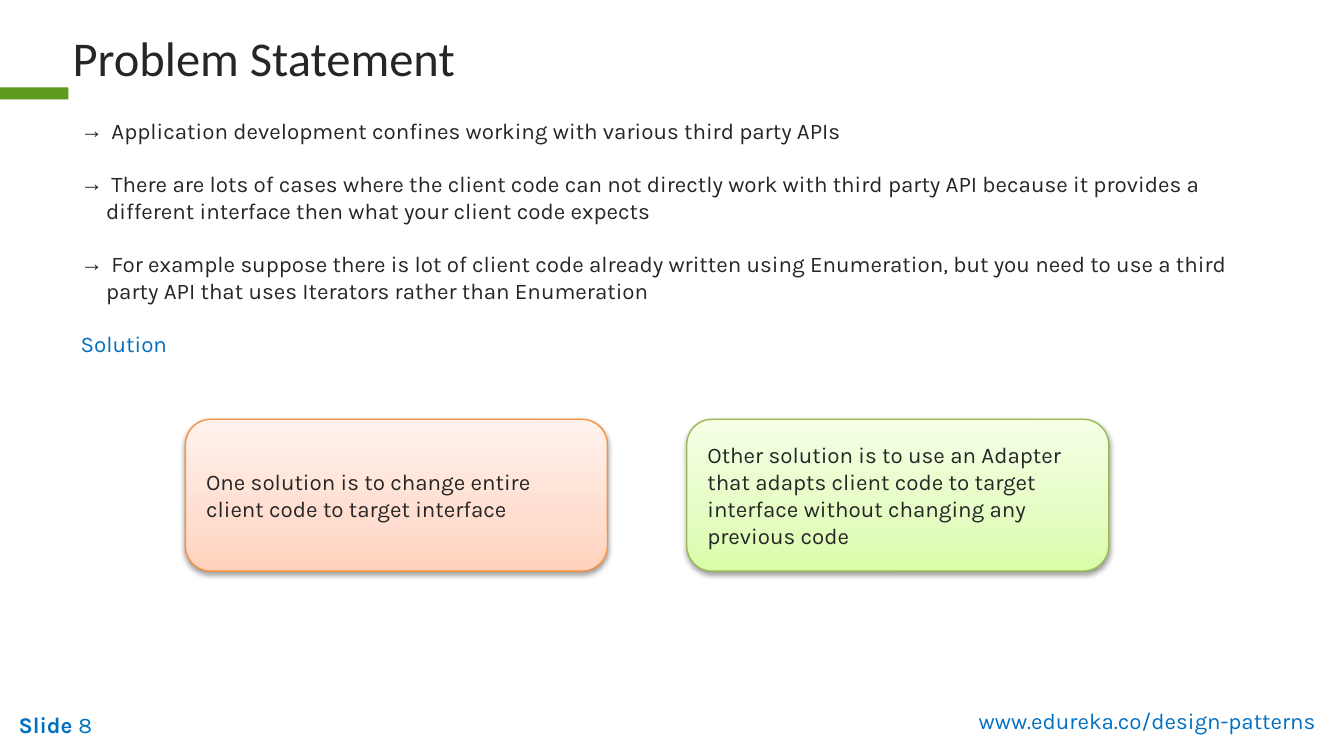
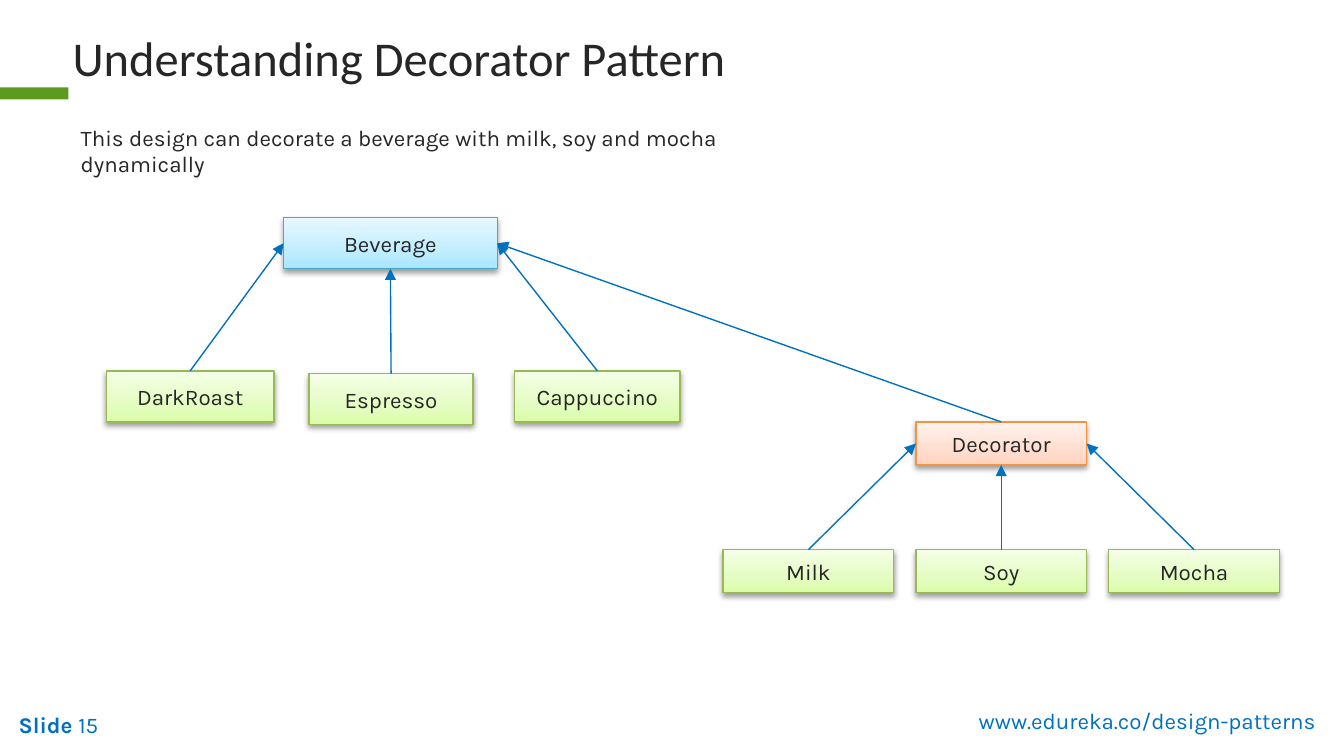
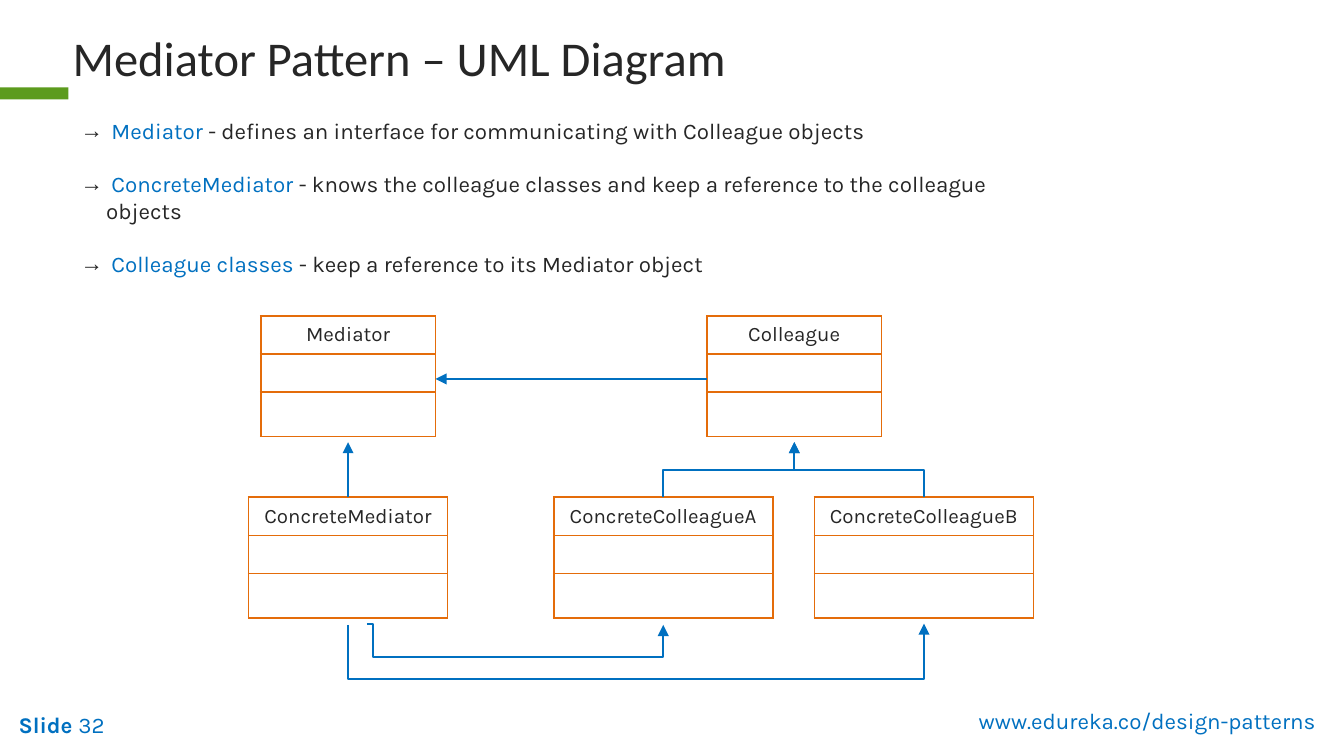
from copy import deepcopy
from dataclasses import dataclass

from lxml import etree
from pptx import Presentation
from pptx.dml.color import RGBColor
from pptx.enum.shapes import MSO_CONNECTOR, MSO_SHAPE
from pptx.enum.text import MSO_ANCHOR, MSO_AUTO_SIZE, PP_ALIGN
from pptx.oxml.ns import qn
from pptx.util import Inches, Pt

RECT, ROUND = MSO_SHAPE.RECTANGLE, MSO_SHAPE.ROUNDED_RECTANGLE
STRAIGHT, ELBOW = MSO_CONNECTOR.STRAIGHT, MSO_CONNECTOR.ELBOW
LEFT, CENTER, RIGHT = PP_ALIGN.LEFT, PP_ALIGN.CENTER, PP_ALIGN.RIGHT
TOP, MIDDLE = MSO_ANCHOR.TOP, MSO_ANCHOR.MIDDLE
FIXED = MSO_AUTO_SIZE.NONE
TOP_SIDE, LEFT_SIDE, FOOT_SIDE, RIGHT_SIDE = range(4)

# Grid of square cells: 100 columns by 56.25 rows
CELL = Inches(0.1)
COLS, ROWS = 100, 56.25


class Theme:
    head, body = "Calibri", "Karla"
    big, text, small = Pt(26), Pt(12), Pt(11)
    gap = Pt(14)
    ink, blue, band, frame = "262626", "0070C0", "5C9B1D", "E46C0A"
    # Tints: gradient from foot to top, then outline
    orange = ("FFD2BD", "FFDED0", "FFF2ED"), "F69240"
    green = ("DAFDA7", "E4FCC2", "F5FFE7"), "98B955"
    sky = ("A7E6FF", "C1EDFF", "E7F8FF"), "46AAC5"
    stops = 0, 0.35, 1


@dataclass
class Box:
    x: float
    y: float
    w: float
    h: float

    def inner(self, x, y, w, h):
        return Box(self.x + x, self.y + y, w, h)

    @property
    def mid(self):
        return self.x + self.w / 2

    @property
    def foot(self):
        return self.y + self.h

    def emu(self):
        return [cells(v) for v in (self.x, self.y, self.w, self.h)]


def cells(value):
    return int(value * CELL)


def rgb(code):
    return RGBColor.from_string(code)


def add_xml(parent, tag, **attrs):
    return etree.SubElement(parent, qn(tag), {k: str(v) for k, v in attrs.items()})


# Text
def write(par, parts, size=Theme.text, color=Theme.ink, font=Theme.body, align=LEFT):
    """Fill a paragraph with a string or with (text, colour, bold) parts."""
    par.alignment = align
    par.font.size, par.font.name = size, font
    par.font.bold = False
    par.font.color.rgb = rgb(color)
    for text, tint, bold in [(parts, None, None)] if isinstance(parts, str) else parts:
        run = par.add_run()
        run.text = text
        if tint:
            run.font.color.rgb = rgb(tint)
        if bold:
            run.font.bold = True


def place(holder, box):
    holder.left, holder.top, holder.width, holder.height = box.emu()
    frame = holder.text_frame
    frame.word_wrap = True
    frame.auto_size = FIXED
    frame.vertical_anchor = TOP
    return frame


def label(slide, box, parts, align=LEFT):
    frame = slide.shapes.add_textbox(*box.emu()).text_frame
    frame.word_wrap = True
    write(frame.paragraphs[0], parts, color=Theme.blue, align=align)


def fill_body(slide, box, items):
    """Write (parts, colour, has arrow) items into the body placeholder."""
    frame = place(slide.placeholders[1], box)
    for i, (parts, color, arrowed) in enumerate(items):
        par = frame.add_paragraph() if i else frame.paragraphs[0]
        props = par._p.get_or_add_pPr()
        indent = cells(1.9) if arrowed else 0
        props.set("marL", str(indent))
        props.set("indent", str(-indent))
        if arrowed:
            add_xml(add_xml(props, "a:buClr"), "a:srgbClr", val=Theme.ink)
            add_xml(props, "a:buChar", char="→")
        else:
            add_xml(props, "a:buNone")
        par.space_before = Theme.gap if i else Pt(0)
        write(par, parts, color=color)


# Shared slide frame: title, band, footers
def start(deck, title, number):
    slide = deck.slides.add_slide(deck.slide_layouts[1])
    band = slide.shapes.add_shape(RECT, *Box(0, 6.5, 5.1, 0.9).emu())
    band.shadow.inherit = False
    band.fill.solid()
    band.fill.fore_color.rgb = rgb(Theme.band)
    band.line.fill.background()
    label(slide, Box(0.4, ROWS - 3.85, 15.8, 3), [("Slide ", None, True), (number, None, False)])
    label(slide, Box(COLS - 43.8, ROWS - 4.15, 42.7, 3), "www.edureka.co/design-patterns", RIGHT)
    frame = place(slide.shapes.title, Box(4.4, 1.6, 90, 5.4))
    write(frame.paragraphs[0], title, Theme.big, font=Theme.head)
    return slide


# Tinted card with a soft shadow
def card(slide, box, text, tint, kind=RECT, align=CENTER):
    shape = slide.shapes.add_shape(kind, *box.emu())
    shades, edge = tint
    shape.fill.gradient()
    shape.fill.gradient_angle = 90
    stops = shape._element.spPr.find(qn("a:gradFill")).find(qn("a:gsLst"))
    stops.insert(1, deepcopy(stops[0]))
    for stop, spot, shade in zip(shape.fill.gradient_stops, Theme.stops, shades):
        stop.position = spot
        stop.color.rgb = rgb(shade)
    shape.line.color.rgb = rgb(edge)
    shape.line.width = Pt(0.75)
    shape.shadow.inherit = False
    effects = shape._element.spPr.find(qn("a:effectLst"))
    blur = add_xml(effects, "a:outerShdw", blurRad=Pt(3.1), dist=Pt(1.6),
                   dir=5400000, rotWithShape=0)
    add_xml(add_xml(blur, "a:srgbClr", val="000000"), "a:alpha", val=38000)
    shape.text_frame.word_wrap = True
    shape.text_frame.vertical_anchor = MIDDLE
    write(shape.text_frame.paragraphs[0], text, align=align)
    return shape


# Arrows
def arrow(slide, begin, end, width=1, kind=STRAIGHT):
    line = slide.shapes.add_connector(kind, *map(cells, (*begin, *end)))
    line.line.color.rgb = rgb(Theme.blue)
    line.line.width = Pt(width)
    props = line._element.spPr
    add_xml(props.find(qn("a:ln")), "a:tailEnd", type="triangle")
    add_xml(props, "a:effectLst")
    return line


def link(slide, child, parent, side):
    line = arrow(slide, (0, 0), (1, 1), 0.75)
    line.begin_connect(child, TOP_SIDE)
    line.end_connect(parent, side)


def bend(line, kind, **shifts):
    """Set the elbow preset and its bends, as shares of the extent."""
    geom = line._element.spPr.find(qn("a:prstGeom"))
    geom.set("prst", kind)
    guides = geom.find(qn("a:avLst"))
    if guides is None:
        guides = add_xml(geom, "a:avLst")
    for name, share in shifts.items():
        add_xml(guides, "a:gd", name=name, fmla=f"val {round(share * 100000)}")


def riser(slide, begin, end, turn):
    """Elbow that leaves vertically, crosses at row turn and ends upward."""
    (x1, y1), (x2, y2) = begin, end
    line = arrow(slide, begin, end, kind=ELBOW)
    wide, high = y1 - y2, abs(x2 - x1)
    box = Box((x1 + x2 - wide) / 2, (y1 + y2 - high) / 2, wide, high)
    line.left, line.top, line.width, line.height = box.emu()
    right = x2 > x1
    xfrm = line._element.spPr.find(qn("a:xfrm"))
    xfrm.set("rot", str((90 if right else 270) * 60000))
    xfrm.set("flipH", str(int(right)))
    xfrm.set("flipV", "1")
    bend(line, "bentConnector3", adj1=(y1 - turn) / wide)


# Three children pointing at the sides of a root card
def tree(slide, root, kids):
    for (name, box), side in zip(kids, (LEFT_SIDE, FOOT_SIDE, RIGHT_SIDE)):
        link(slide, card(slide, box, name, Theme.green), root, side)


# Class box of three rows
def uml(slide, box, name):
    table = slide.shapes.add_table(3, 1, *box.emu()).table
    table.first_row = table.horz_banding = False
    for i, high in enumerate((2.8, 2.8, 3.3)):
        table.rows[i].height = cells(high)
        cell = table.cell(i, 0)
        props = cell._tc.get_or_add_tcPr()
        for side in "LRTB":
            edge = add_xml(props, f"a:ln{side}", w=Pt(1))
            add_xml(add_xml(edge, "a:solidFill"), "a:srgbClr", val=Theme.frame)
        cell.fill.background()
        cell.vertical_anchor = MIDDLE
        par = cell.text_frame.paragraphs[0]
        if i:
            add_xml(par._p, "a:endParaRPr", sz=1100)
        else:
            write(par, name, Theme.small, align=CENTER)


def problem(deck):
    slide = start(deck, "Problem Statement", "8")
    fill_body(slide, Box(5, 8.2, 88, 19.2), [
        (" Application development confines working with various third party APIs",
         Theme.ink, True),
        (" There are lots of cases where the client code can not directly work with third "
         "party API because it provides a different interface then what your client code "
         "expects", Theme.ink, True),
        (" For example suppose there is lot of client code already written using "
         "Enumeration, but you need to use a third party API that uses Iterators rather "
         "than Enumeration", Theme.ink, True),
        ("Solution", Theme.blue, False),
    ])
    area = Box(13.8, 31.2, 68.7, 11.3)
    wide = 31.4
    answers = [
        ("One solution is to change entire client code to target interface", Theme.orange),
        ("Other solution is to use an Adapter that adapts client code to target interface "
         "without changing any previous code", Theme.green),
    ]
    for i, (text, tint) in enumerate(answers):
        card(slide, area.inner(i * (area.w - wide), 0, wide, area.h), text, tint, ROUND, LEFT)


def decorator(deck):
    slide = start(deck, "Understanding Decorator Pattern", "15")
    fill_body(slide, Box(5, 8.7, 57.8, 5), [
        ("This design can decorate a beverage with milk, soy and mocha dynamically",
         Theme.ink, False)])

    # Drinks
    area = Box(7.9, 16.2, 42.7, 15.4)
    drink = card(slide, area.inner(13.2, 0, 15.9, 3.8), "Beverage", Theme.sky)
    tree(slide, drink, [
        ("DarkRoast", area.inner(0, 11.4, 12.5, 3.8)),
        ("Espresso", area.inner(15.1, 11.6, 12.2, 3.8)),
        ("Cappuccino", area.inner(30.4, 11.4, 12.3, 3.8)),
    ])

    # Extras
    area = Box(53.8, 31.4, 41.4, 12.7)
    wide, high, step = 12.7, 3.2, 14.35
    extra = card(slide, area.inner(step, 0, wide, high), "Decorator", Theme.orange)
    tree(slide, extra, [(name, area.inner(i * step, 9.5, wide, high))
                        for i, name in enumerate(("Milk", "Soy", "Mocha"))])
    link(slide, extra, drink, RIGHT_SIDE)


def mediator(deck):
    slide = start(deck, "Mediator Pattern – UML Diagram", "32")
    terms = [
        ("Mediator", "defines an interface for communicating with Colleague objects"),
        ("ConcreteMediator",
         "knows the colleague classes and keep a reference to the colleague objects"),
        ("Colleague classes", "keep a reference to its Mediator object"),
    ]
    fill_body(slide, Box(5, 8.2, 74.6, 13), [
        ([(f" {term}", Theme.blue, False), (f" - {text}", None, False)], Theme.ink, True)
        for term, text in terms])

    # Classes
    area = Box(18.5, 23.5, 58.4, 22.9)
    high, low = 9.4, 13.5
    hub = area.inner(0.9, 0, 13, high)
    peer = area.inner(34.1, 0, 13, high)
    core = area.inner(0, low, 14.8, high)
    first = area.inner(22.7, low, 16.3, high)
    second = area.inner(42.1, low, 16.3, high)
    for box, name in ((hub, "Mediator"), (core, "ConcreteMediator"),
                      (first, "ConcreteColleagueA"), (second, "ConcreteColleagueB"),
                      (peer, "Colleague")):
        uml(slide, box, name)

    # Relations
    arrow(slide, (core.mid, core.y), (hub.mid, hub.foot))
    level = hub.y + high / 2
    arrow(slide, (peer.x, level), (hub.x + hub.w, level))
    for box in (first, second):
        riser(slide, (box.mid, box.y), (peer.mid, peer.foot), box.y - 2.05)
    riser(slide, (core.mid, core.foot + 0.1), (second.mid, second.foot), core.foot + 4.2)
    hook = arrow(slide, (core.mid + 1.4, core.foot), (first.mid, first.foot + 0.1), kind=ELBOW)
    bend(hook, "bentConnector4", adj1=0.02, adj2=25)


def main():
    deck = Presentation()
    deck.slide_width, deck.slide_height = cells(COLS), cells(ROWS)
    problem(deck)
    decorator(deck)
    mediator(deck)
    deck.save("out.pptx")


if __name__ == "__main__":
    main()
